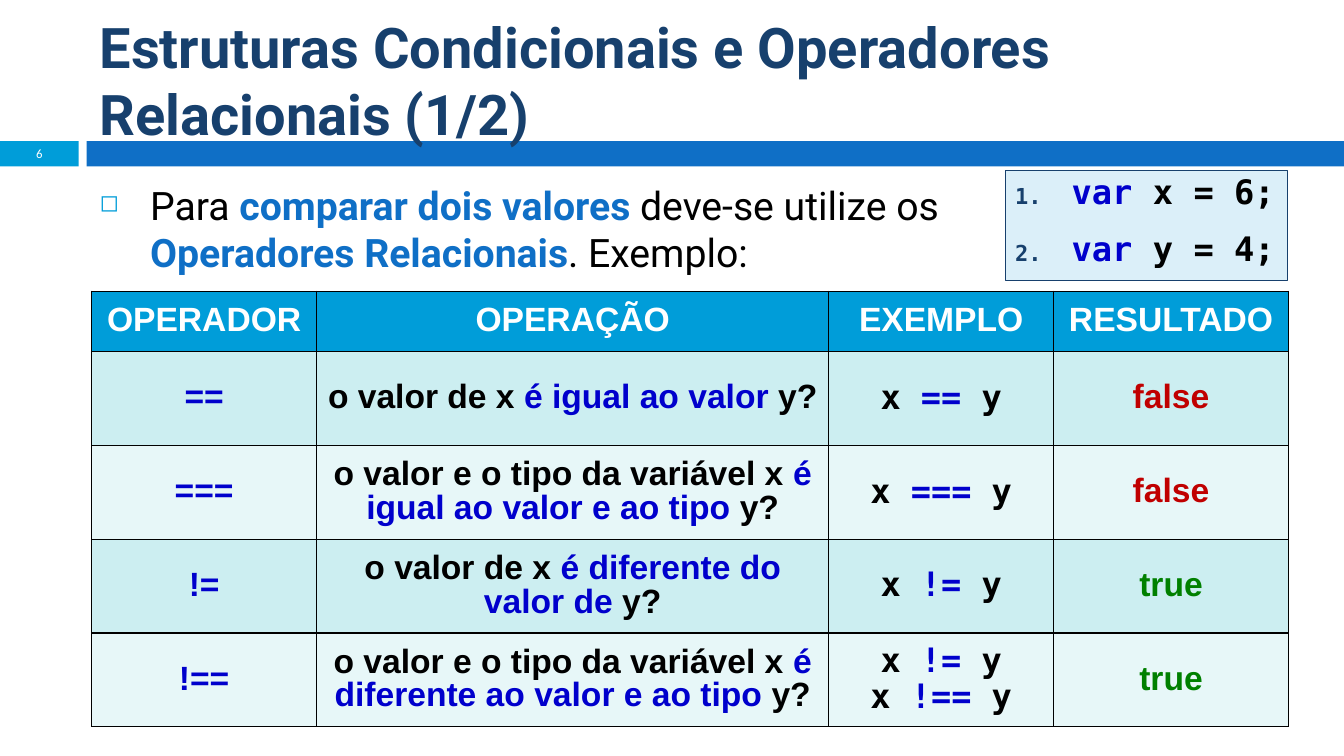
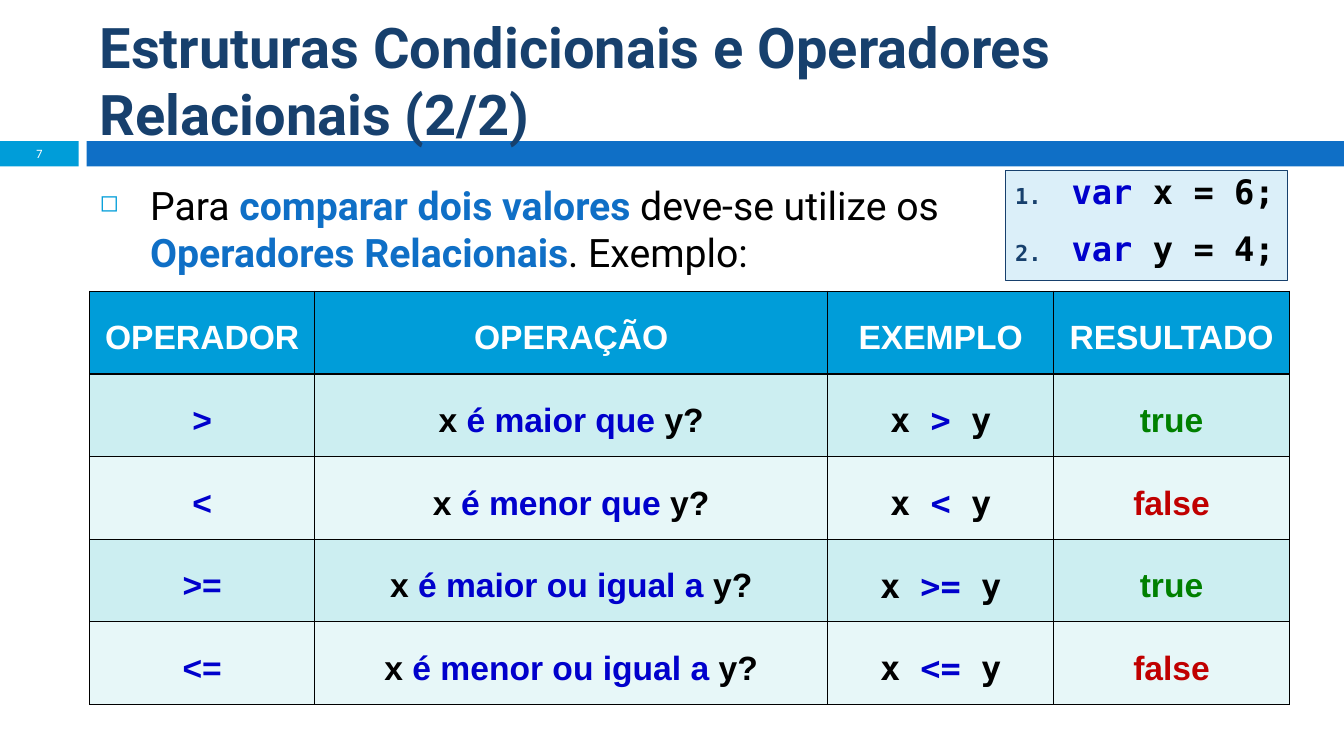
"""Builds two slides on the relational operators of JavaScript."""
import dataclasses

import lxml.etree
import pptx
import pptx.dml.color
import pptx.enum.shapes
import pptx.enum.text
import pptx.oxml.ns
import pptx.shapes.autoshape
import pptx.slide
import pptx.table
import pptx.text.text
import pptx.util

Inches = pptx.util.Inches
Pt = pptx.util.Pt
CENTER = pptx.enum.text.PP_ALIGN.CENTER
MIDDLE = pptx.enum.text.MSO_ANCHOR.MIDDLE

NAVY, BLUE, CYAN, PALE_BLUE = "17406D", "0F6FC6", "009DD9", "DBEFF9"
WHITE, BLACK, KEYWORD = "FFFFFF", "000000", "0000CC"
ROW_FILLS = ("CCEEF1", "E7F7F8")
RESULT_COLORS = {"true": "008000", "false": "C00000"}
MONO = "DejaVu Sans Mono"
HEADINGS = ("OPERADOR", "OPERAÇÃO", "EXEMPLO", "RESULTADO")


@dataclasses.dataclass(frozen=True)
class Span:
    text: str
    color: str = BLACK
    font: str = "Arial"
    size: float = 24
    bold: bool = True


@dataclasses.dataclass(frozen=True)
class Box:
    left: float
    top: float
    width: float
    height: float

    def lengths(self) -> tuple[pptx.util.Length, ...]:
        return tuple(Inches(value) for value in dataclasses.astuple(self))


@dataclasses.dataclass(frozen=True)
class Bullet:
    tag: str
    attribute: str
    value: str
    percent: int
    indent: float
    font: str = ""


@dataclasses.dataclass(frozen=True)
class Comparison:
    operator: str
    subject: str
    question: str
    result: str
    also: tuple[str, ...] = ()

    def cells(self) -> list[list[list[Span]]]:
        examples = [[Span("x ", font=MONO), Span(sign, KEYWORD, MONO), Span(" y", font=MONO)]
                    for sign in (*self.also, self.operator)]
        operation = [Span(f"{self.subject} "), Span(f"{self.question} ", KEYWORD), Span("y?")]
        return [[[Span(self.operator, KEYWORD)]], [operation], examples,
                [[Span(self.result, RESULT_COLORS[self.result])]]]


@dataclasses.dataclass(frozen=True)
class Lesson:
    number: int
    sequence: str
    body_width: float
    table_left: float
    columns: tuple[float, ...]
    heading_height: float
    row_height: float
    line_spacing: float
    comparisons: tuple[Comparison, ...]


SQUARE = Bullet("a:buChar", "char", "◻", 60, 0.5)
LINE_NUMBER = Bullet("a:buAutoNum", "type", "arabicPeriod", 65, 0.56, MONO)

LESSONS = (
    Lesson(6, "1/2", 8.76, 0.91, (2.23, 5.08, 2.23, 2.33), 0.6, 0.93, 0.9, (
        Comparison("==", "o valor de x", "é igual ao valor", "false"),
        Comparison("===", "o valor e o tipo da variável x", "é igual ao valor e ao tipo", "false"),
        Comparison("!=", "o valor de x", "é diferente do valor de", "true"),
        Comparison("!==", "o valor e o tipo da variável x", "é diferente ao valor e ao tipo",
                   "true", ("!=",)),
    )),
    Lesson(7, "2/2", 8.79, 0.89, (2.23, 5.09, 2.24, 2.34), 0.82, 0.82, 1.3, (
        Comparison(">", "x", "é maior que", "true"),
        Comparison("<", "x", "é menor que", "false"),
        Comparison(">=", "x", "é maior ou igual a", "true"),
        Comparison("<=", "x", "é menor ou igual a", "false"),
    )),
)


def rgb(color: str) -> pptx.dml.color.RGBColor:
    return pptx.dml.color.RGBColor.from_string(color)


def add_element(parent: lxml.etree.ElementBase, tag: str, **attributes: str) -> lxml.etree.ElementBase:
    return lxml.etree.SubElement(parent, pptx.oxml.ns.qn(tag), attributes)


def write_paragraphs(frame: pptx.text.text.TextFrame, paragraphs: list[list[Span]],
                     **formatting: object) -> None:
    for index, spans in enumerate(paragraphs):
        paragraph = frame.add_paragraph() if index else frame.paragraphs[0]
        for name, value in formatting.items():
            setattr(paragraph, name, value)
        for span in spans:
            run = paragraph.add_run()
            run.text = span.text
            run.font.name = span.font
            run.font.size = Pt(span.size)
            run.font.bold = span.bold
            run.font.color.rgb = rgb(span.color)


def add_bullets(frame: pptx.text.text.TextFrame, bullet: Bullet, color: str) -> None:
    for paragraph in frame.paragraphs:
        properties = paragraph._p.get_or_add_pPr()
        properties.set("marL", str(Inches(bullet.indent)))
        properties.set("indent", str(-Inches(bullet.indent)))
        add_element(add_element(properties, "a:buClr"), "a:srgbClr", val=color)
        add_element(properties, "a:buSzPct", val=str(bullet.percent * 1000))
        if bullet.font:
            add_element(properties, "a:buFont", typeface=bullet.font)
        add_element(properties, bullet.tag, **{bullet.attribute: bullet.value})


def add_rectangle(slide: pptx.slide.Slide, box: Box, fill: str,
                  outline: str = "") -> pptx.shapes.autoshape.Shape:
    rectangle = slide.shapes.add_shape(pptx.enum.shapes.MSO_SHAPE.RECTANGLE, *box.lengths())
    rectangle.shadow.inherit = False
    rectangle.fill.solid()
    rectangle.fill.fore_color.rgb = rgb(fill)
    if outline:
        rectangle.line.color.rgb = rgb(outline)
        rectangle.line.width = Pt(1)
    else:
        rectangle.line.fill.background()
    return rectangle


def add_text(slide: pptx.slide.Slide, box: Box, spans: list[Span],
             anchor: pptx.enum.text.MSO_ANCHOR = MIDDLE,
             **formatting: object) -> pptx.text.text.TextFrame:
    frame = slide.shapes.add_textbox(*box.lengths()).text_frame
    frame.word_wrap = True
    frame.vertical_anchor = anchor
    write_paragraphs(frame, [spans], **formatting)
    return frame


def add_header(slide: pptx.slide.Slide, lesson: Lesson) -> None:
    add_rectangle(slide, Box(0, 1.4, 0.78, 0.25), CYAN)
    add_rectangle(slide, Box(0.86, 1.4, 12.47, 0.25), BLUE)
    title = f"Estruturas Condicionais e Operadores Relacionais ({lesson.sequence})"
    add_text(slide, Box(0.89, 0.25, 12.23, 1.08), [Span(title, NAVY, "Roboto", 40)])
    add_text(slide, Box(0, 1.39, 0.78, 0.27),
             [Span(str(lesson.number), WHITE, "Calibri", 9.1, False)], alignment=CENTER)


def add_introduction(slide: pptx.slide.Slide, width: float) -> None:
    phrases = (("Para ", False), ("comparar dois valores ", True), ("deve-se utilize os ", False),
               ("Operadores Relacionais", True), (". Exemplo:", False))
    spans = [Span(text, BLUE if strong else BLACK, "Roboto", 28, strong)
             for text, strong in phrases]
    introduction = add_text(slide, Box(0.89, 1.75, width, 5.47), spans,
                            pptx.enum.text.MSO_ANCHOR.TOP)
    add_bullets(introduction, SQUARE, CYAN)


def add_code(slide: pptx.slide.Slide) -> None:
    code = add_rectangle(slide, Box(9.97, 1.69, 2.8, 1.09), PALE_BLUE, NAVY).text_frame
    code.word_wrap = True
    code.vertical_anchor = pptx.enum.text.MSO_ANCHOR.TOP
    code.margin_right = Inches(0.05)
    statements = [[Span("var", KEYWORD, MONO, 24.1), Span(f" {assignment};", BLACK, MONO, 24.1)]
                  for assignment in ("x = 6", "y = 4")]
    write_paragraphs(code, statements, alignment=pptx.enum.text.PP_ALIGN.LEFT,
                     line_spacing=0.9, space_before=Pt(15))
    add_bullets(code, LINE_NUMBER, NAVY)


def style_cell(cell: pptx.table._Cell, fill: str) -> None:
    properties = cell._tc.get_or_add_tcPr()
    for side in ("a:lnL", "a:lnR", "a:lnT", "a:lnB"):
        border = add_element(properties, side, w=str(Pt(1)))
        add_element(add_element(border, "a:solidFill"), "a:srgbClr", val=BLACK)
    cell.fill.solid()
    cell.fill.fore_color.rgb = rgb(fill)
    cell.vertical_anchor = MIDDLE


def add_comparisons(slide: pptx.slide.Slide, lesson: Lesson) -> None:
    rows = [[[[Span(heading, WHITE)]] for heading in HEADINGS]]
    rows += [comparison.cells() for comparison in lesson.comparisons]
    heights = [lesson.heading_height] + [lesson.row_height] * len(lesson.comparisons)
    box = Box(lesson.table_left, 2.89, sum(lesson.columns), sum(heights))
    table = slide.shapes.add_table(len(rows), len(HEADINGS), *box.lengths()).table
    for column, width in zip(table.columns, lesson.columns):
        column.width = Inches(width)
    for index, (row, height, contents) in enumerate(zip(table.rows, heights, rows)):
        row.height = Inches(height)
        fill = ROW_FILLS[(index - 1) % 2] if index else CYAN
        for cell, paragraphs in zip(row.cells, contents):
            style_cell(cell, fill)
            write_paragraphs(cell.text_frame, paragraphs, alignment=CENTER,
                             line_spacing=lesson.line_spacing)


def main() -> None:
    presentation = pptx.Presentation()
    presentation.slide_width = Inches(13.33)
    presentation.slide_height = Inches(7.5)
    for lesson in LESSONS:
        slide = presentation.slides.add_slide(presentation.slide_layouts[6])
        add_header(slide, lesson)
        add_introduction(slide, lesson.body_width)
        add_comparisons(slide, lesson)
        add_code(slide)
    presentation.save("out.pptx")


if __name__ == "__main__":
    main()
